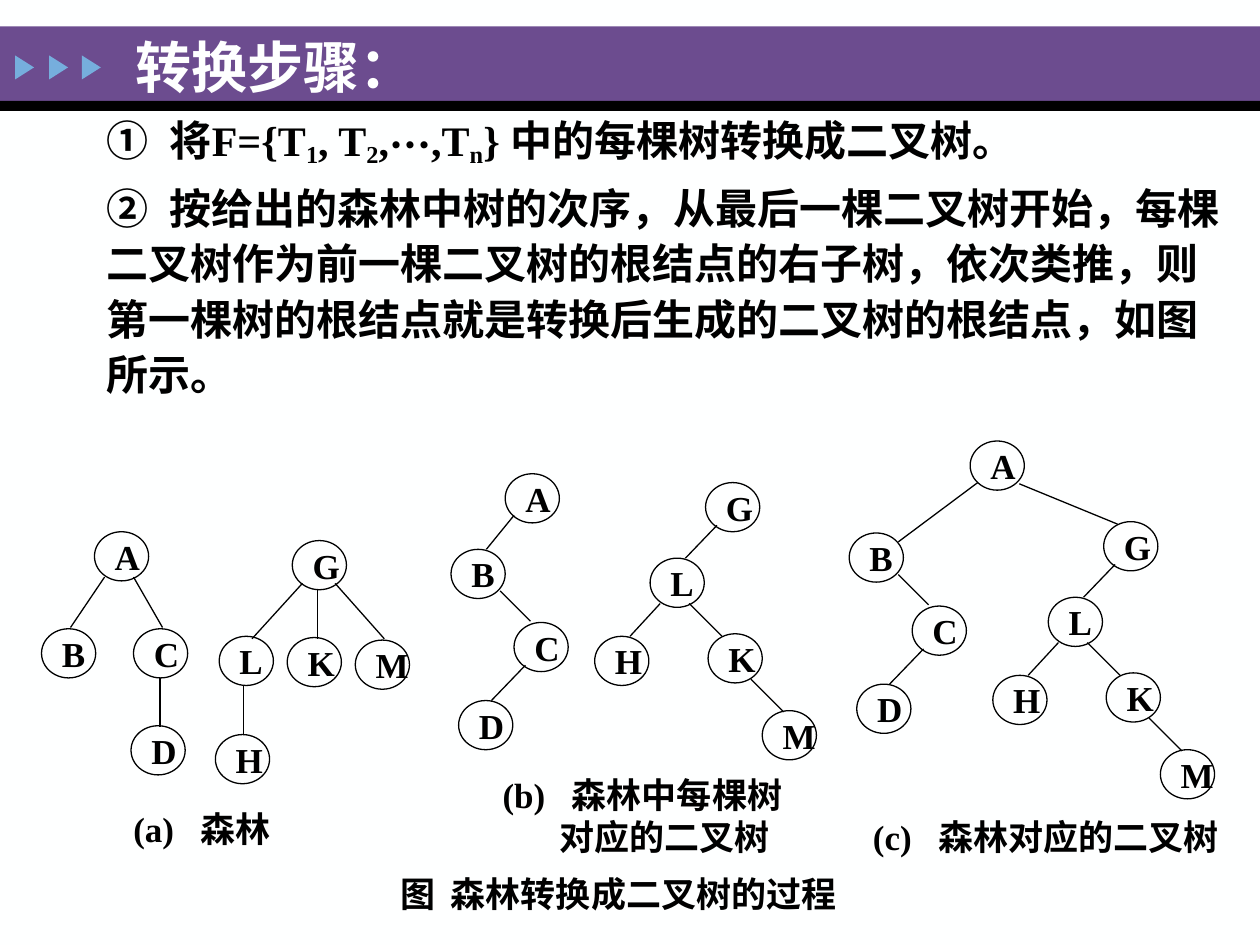
from lxml.etree import SubElement
from pptx import Presentation
from pptx.dml.color import RGBColor
from pptx.enum.shapes import MSO_CONNECTOR, MSO_SHAPE
from pptx.enum.text import MSO_ANCHOR, PP_ALIGN
from pptx.oxml.ns import qn
from pptx.util import Inches, Pt

WHITE = RGBColor(0xFE, 0xFF, 0xFF)
BLACK = RGBColor(0x00, 0x00, 0x00)
PURPLE = RGBColor(0x6C, 0x4C, 0x8F)
BLUE = RGBColor(0x76, 0xAE, 0xDD)
LATIN = "Times New Roman"
CJK = "Noto Sans CJK SC"


def style(p, size, color=BLACK):
    for r in p.runs:
        r.font.size = Pt(size)
        r.font.bold = True
        r.font.name = LATIN
        r.font.color.rgb = color
        SubElement(r._r.get_or_add_rPr(), qn("a:ea")).set("typeface", CJK)


def indent(p, left, first=0):
    pPr = p._p.get_or_add_pPr()
    pPr.set("marL", str(Inches(left)))
    pPr.set("indent", str(Inches(first)))


prs = Presentation()
prs.slide_width, prs.slide_height = Inches(10), Inches(7.5)
s = prs.slides.add_slide(prs.slide_layouts[6])
s.background.fill.solid()
s.background.fill.fore_color.rgb = WHITE

decor = [(MSO_SHAPE.RECTANGLE, 0, 0.21, 10, 0.59, 0, PURPLE),
         (MSO_SHAPE.RECTANGLE, 0, 0.8, 10, 0.08, 0, BLACK)]
decor += [(MSO_SHAPE.ISOSCELES_TRIANGLE, x, 0.46, 0.19, 0.15, 90, BLUE)
          for x in (0.1, 0.37, 0.63)]
for kind, x, y, w, h, rotation, color in decor:
    sp = s.shapes.add_shape(kind, Inches(x), Inches(y), Inches(w), Inches(h))
    sp.rotation = rotation
    sp.shadow.inherit = False
    sp.fill.solid()
    sp.fill.fore_color.rgb = color
    sp.line.fill.background()

tf = s.shapes.add_textbox(Inches(0.17), Inches(0.16), Inches(9.67), Inches(3.43)).text_frame
tf.word_wrap = True
steps = [
    (["转换步骤："], 32, WHITE, 0.81),
    (["①\t将F={T", "1", ", T", "2", ",⋯,T", "n", "} 中的每棵树转换成二叉树。"],
     24, BLACK, 0.58),
    (["②\t按给出的森林中树的次序，从最后一棵二叉树开始，每棵二叉树作为前一棵二叉树的"
      "根结点的右子树，依次类推，则第一棵树的根结点就是转换后生成的二叉树的根结点，如图所示。"],
     24, BLACK, 0.58),
]
for i, (parts, size, color, left) in enumerate(steps):
    p = tf.add_paragraph() if i else tf.paragraphs[0]
    p.line_spacing = 1.1
    if i:
        p.space_before = Pt(5)
    indent(p, left)
    for j, part in enumerate(parts):
        r = p.add_run()
        r.text = part
        if j % 2:
            r._r.get_or_add_rPr().set("baseline", "-18000")
    style(p, size, color)

chain = ([("B", 3.58, 4.36), ("C", 4.08, 4.94), ("D", 3.64, 5.56)],
         [(3.97, 4.69, 4.21, 4.93), (4.17, 5.28, 3.9, 5.56)])
binary = ([("G", 5.6, 3.83), ("L", 5.16, 4.43), ("K", 5.62, 5.03),
           ("H", 4.72, 5.05), ("M", 6.05, 5.64)],
          [(5.69, 4.17, 5.44, 4.43), (5.47, 4.79, 5.73, 5.05),
           (5.24, 4.79, 5, 5.05), (5.96, 5.39, 6.22, 5.65)])
trees = [
    (0, 0, [("A", 0.75, 4.22), ("C", 1.06, 4.99), ("B", 0.33, 4.99), ("D", 1.04, 5.76)],
     [(0.83, 4.58, 0.56, 4.98), (1.06, 4.58, 1.29, 4.98), (1.27, 5.38, 1.27, 5.77)]),
    (0, 0, [("G", 2.32, 4.29), ("M", 2.82, 5.08), ("L", 1.74, 5.05),
            ("H", 1.71, 5.83), ("K", 2.28, 5.06)],
     [(2.4, 4.63, 2, 5.07), (2.66, 4.63, 3.05, 5.07),
      (1.93, 5.44, 1.93, 5.83), (2.52, 4.68, 2.52, 5.07)]),
    (0, 0, [("A", 4.01, 3.76)], [(4.08, 4.09, 3.86, 4.36)]),
    (0, 0, *chain),
    (0, 0, *binary),
    (0, 0, [("A", 7.7, 3.5)], [(7.76, 3.83, 7.13, 4.3), (8.09, 3.84, 8.87, 4.16)]),
    (3.16, -0.13, *chain),
    (3.16, 0.31, *binary),
]
for dx, dy, nodes, edges in trees:
    for name, x, y in nodes:
        sp = s.shapes.add_shape(MSO_SHAPE.OVAL, Inches(x + dx), Inches(y + dy),
                                Inches(0.43), Inches(0.39))
        sp.shadow.inherit = False
        sp.fill.background()
        sp.line.color.rgb = BLACK
        sp.line.width = Pt(0.75)
        tf = sp.text_frame
        tf.text = name
        tf.word_wrap = False
        tf.vertical_anchor = MSO_ANCHOR.MIDDLE
        tf.paragraphs[0].alignment = PP_ALIGN.LEFT
        style(tf.paragraphs[0], 20)
    for x1, y1, x2, y2 in edges:
        line = s.shapes.add_connector(MSO_CONNECTOR.STRAIGHT, Inches(x1 + dx), Inches(y1 + dy),
                                      Inches(x2 + dx), Inches(y2 + dy))
        line.line.color.rgb = BLACK
        line.line.width = Pt(0.75)
        SubElement(line._element.spPr, qn("a:effectLst"))

captions = [
    (0.96, 6.38, 1.5, 0.39, 0.53, ["(a)\t森林"]),
    (3.89, 6.12, 2.7, 0.71, 0.55, ["(b)\t森林中每棵树", "对应的二叉树"]),
    (6.83, 6.44, 3.1, 0.39, 0.52, ["(c)\t森林对应的二叉树"]),
    (3.08, 6.9, 4.2, 0.39, 0.4, ["图\t森林转换成二叉树的过程"]),
]
for x, y, w, h, hang, lines in captions:
    tf = s.shapes.add_textbox(Inches(x), Inches(y), Inches(w), Inches(h)).text_frame
    tf.word_wrap = True
    tf.vertical_anchor = MSO_ANCHOR.MIDDLE
    tf.text = "\n".join(lines)
    for i, p in enumerate(tf.paragraphs):
        if i:
            indent(p, 0.45)
        else:
            indent(p, hang, -hang)
        style(p, 20)

prs.save("out.pptx")
